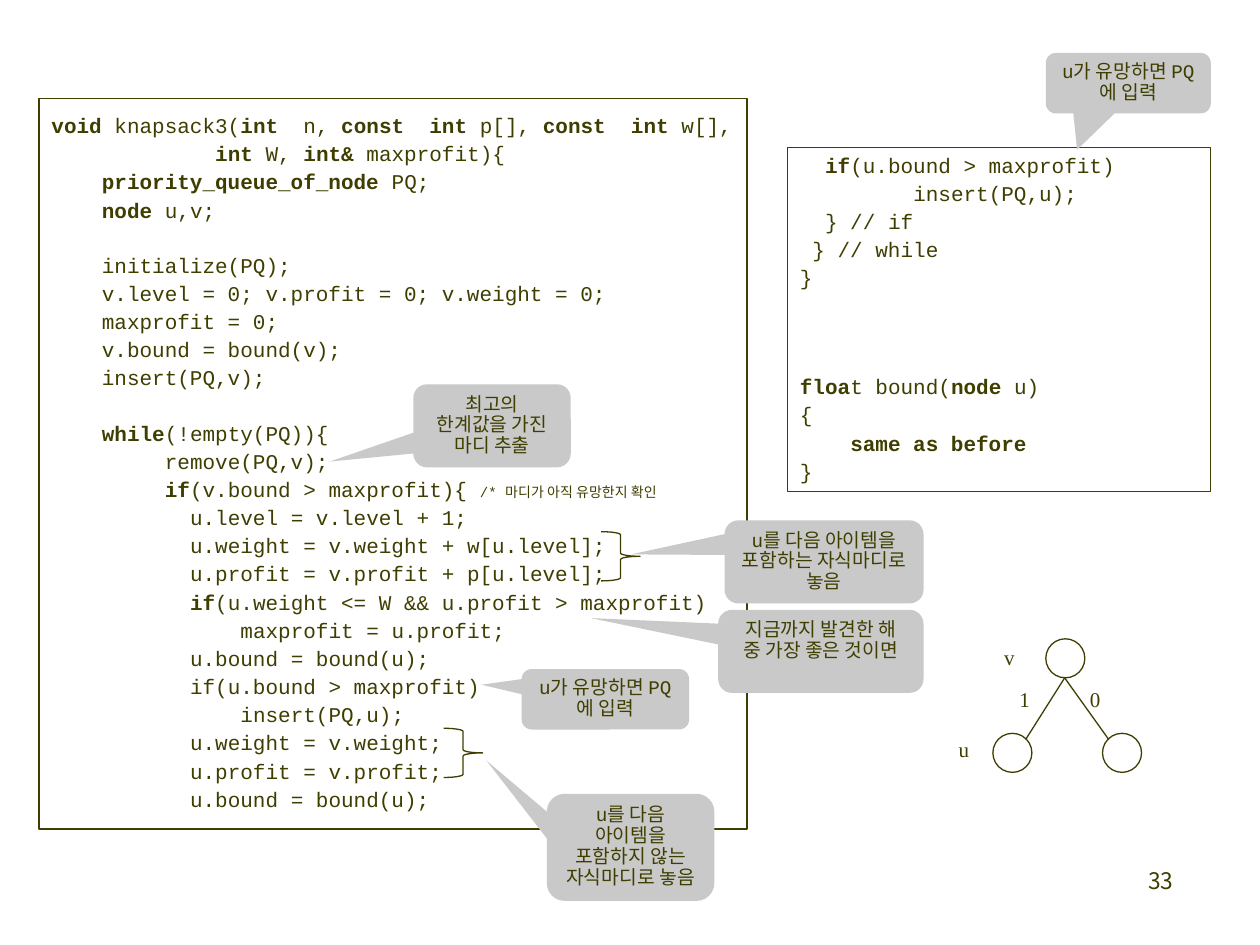
"""Build the knapsack code slide with callouts and a small state tree."""
from lxml.etree import SubElement
from pptx import Presentation
from pptx.dml.color import RGBColor
from pptx.enum.shapes import MSO_CONNECTOR, MSO_SHAPE
from pptx.enum.text import MSO_ANCHOR, PP_ALIGN
from pptx.oxml.ns import qn
from pptx.util import Inches, Pt

COLORS = {"ink": "3F3E00", "callout": "C9C9C9"}
CODE_FONT = "Courier New"
COLUMN = 0.1
LINE_PITCH = 15.4
SPACE_BEFORE = 3.15

MAIN_CODE = [
    (0, 0, "|void| knapsack3(|int|  n, |const  int| p[], |const  int |w[],"),
    (13, 0, "|int| W, |int& |maxprofit){"),
    (4, 0, "|priority_queue_of_node |PQ;"),
    (4, 0, "|node| u,v;"),
    (4, 1, "initialize(PQ);"),
    (4, 0, "v.level = 0; v.profit = 0; v.weight = 0;"),
    (4, 0, "maxprofit = 0;"),
    (4, 0, "v.bound = bound(v);"),
    (4, 0, "insert(PQ,v);"),
    (4, 1, "|while|(!empty(PQ)){"),
    (9, 0, "remove(PQ,v);"),
    (9, 0, "|if|(v.bound > maxprofit){ ~/* 마디가 아직 유망한지 확인"),
    (11, 0, "u.level = v.level + 1;"),
    (11, 0, "u.weight = v.weight + w[u.level];"),
    (11, 0, "u.profit = v.profit + p[u.level];"),
    (11, 0, "|if|(u.weight <= W && u.profit > maxprofit)"),
    (15, 0, "maxprofit = u.profit;"),
    (11, 0, "u.bound = bound(u);"),
    (11, 0, "if(u.bound > maxprofit)"),
    (15, 0, "insert(PQ,u);"),
    (11, 0, "u.weight = v.weight;"),
    (11, 0, "u.profit = v.profit;"),
    (11, 0, "u.bound = bound(u);"),
]
CLOSING_CODE = [
    (2, 0, "|if|(u.bound > maxprofit)"),
    (9, 0, "insert(PQ,u);"),
    (2, 0, "} // if"),
    (1, 0, "} // while"),
    (0, 0, "}"),
    (0, 3, "|floa|t bound(|node| u)"),
    (0, 0, "{"),
    (4, 0, "|same as before|"),
    (0, 0, "}"),
]
PROMISING = "u가 유망하면 PQ에 입력"
CALLOUTS = [
    ((3.28, 3.05, 1.25, 0.66), (-1.03, 0.43), "최고의 한계값을 가진 마디 추출"),
    ((5.75, 4.13, 1.58, 0.66), (-0.97, -0.09), "u를 다음 아이템을 포함하는 자식마디로 놓음"),
    ((5.7, 4.84, 1.63, 0.66), (-1.12, -0.4), "지금까지 발견한 해 중 가장 좋은 것이면"),
    ((4.34, 6.3, 1.33, 0.85), (-0.86, -0.81), "u를 다음 아이템을 포함하지 않는 자식마디로 놓음"),
    ((4.14, 5.31, 1.33, 0.48), (-0.74, -0.24), PROMISING),
    ((8.3, 0.42, 1.31, 0.48), (-0.31, 1.1), PROMISING),
]
BRACES = [(4.77, 4.22), (3.52, 5.78)]
NODES = [(8.3, 5.07), (7.88, 5.82), (8.75, 5.82)]
BRANCH_ENDS = [(8.14, 5.87), (8.8, 5.87)]
LABELS = [
    ("1", (8.09, 5.26, 0.11, 0.44), 0),
    ("0", (8.65, 5.26, 0.11, 0.44), 0),
    ("v", (7.87, 4.93, 0.29, 0.43), 0.1),
    ("u", (7.51, 5.66, 0.29, 0.43), 0.1),
]


def apply_format(target, values):
    for name, value in values.items():
        setattr(target, name, value)


def color(name):
    return RGBColor.from_string(COLORS[name])


def add_run(paragraph, text, size, font=CODE_FONT, bold=False):
    run = paragraph.add_run()
    run.text = text
    apply_format(run.font, {"name": font, "size": Pt(size), "bold": bold})
    run.font.color.rgb = color("ink")


def add_outline(slide, kind, box):
    shape = slide.shapes.add_shape(kind, *map(Inches, box))
    shape.shadow.inherit = False
    shape.fill.background()
    shape.line.color.rgb = color("ink")
    shape.line.width = Pt(0.75)
    return shape


def add_code_box(slide, box, lines):
    shape = add_outline(slide, MSO_SHAPE.RECTANGLE, box)
    frame = shape.text_frame
    apply_format(frame, {"word_wrap": True, "vertical_anchor": MSO_ANCHOR.MIDDLE})
    for index, (columns, gap, code) in enumerate(lines):
        paragraph = frame.add_paragraph() if index else frame.paragraphs[0]
        apply_format(paragraph, {
            "alignment": PP_ALIGN.LEFT,
            "line_spacing": 0.9,
            "space_before": Pt(SPACE_BEFORE + gap * LINE_PITCH),
        })
        properties = paragraph._p.get_or_add_pPr()
        properties.set("marL", str(Inches(columns * COLUMN)))
        code, _, remark = code.partition("~")
        for part, text in enumerate(code.split("|")):
            if text:
                add_run(paragraph, text, 12, bold=part % 2 == 1)
        if remark:
            add_run(paragraph, remark, 8)


def add_callout(slide, box, tip, text):
    shape = add_outline(slide, MSO_SHAPE.ROUNDED_RECTANGULAR_CALLOUT, box)
    shape.fill.solid()
    shape.fill.fore_color.rgb = color("callout")
    shape.line.fill.background()
    shape.adjustments[0], shape.adjustments[1] = tip
    apply_format(shape.text_frame, {"word_wrap": True, "vertical_anchor": MSO_ANCHOR.TOP})
    paragraph = shape.text_frame.paragraphs[0]
    apply_format(paragraph, {
        "alignment": PP_ALIGN.CENTER,
        "line_spacing": 0.9,
        "space_before": Pt(SPACE_BEFORE),
    })
    add_run(paragraph, text, 11)


def add_brace(slide, left, top):
    shape = add_outline(slide, MSO_SHAPE.LEFT_BRACE, (left, top, 0.31, 0.39))
    shape.rotation = 180
    shape.adjustments[0] = 0.08


def add_branch(slide, start, end):
    points = map(Inches, (*start, *end))
    connector = slide.shapes.add_connector(MSO_CONNECTOR.STRAIGHT, *points)
    connector.line.color.rgb = color("ink")
    connector.line.width = Pt(0.75)
    SubElement(connector._element.spPr, qn("a:effectLst"))


def add_text(slide, box, text, size, font, frame_format, paragraph_format):
    shape = slide.shapes.add_textbox(*map(Inches, box))
    apply_format(shape.text_frame, frame_format)
    paragraph = shape.text_frame.paragraphs[0]
    apply_format(paragraph, paragraph_format)
    add_run(paragraph, text, size, font)


def add_label(slide, text, box, inset):
    frame_format = {
        "word_wrap": False,
        "margin_left": Inches(inset),
        "margin_right": Inches(inset),
        "margin_top": 0,
        "margin_bottom": 0,
    }
    paragraph_format = {"line_spacing": Pt(28), "space_before": Pt(SPACE_BEFORE)}
    add_text(slide, box, text, 12, "Times New Roman", frame_format, paragraph_format)


def main():
    presentation = Presentation()
    apply_format(presentation, {"slide_width": Inches(10), "slide_height": Inches(7.5)})
    slide = presentation.slides.add_slide(presentation.slide_layouts[6])
    add_text(slide, (7.33, 6.83, 2.08, 0.5), "33", 13, "Noto Sans CJK KR",
             {"word_wrap": True}, {"alignment": PP_ALIGN.RIGHT})
    add_code_box(slide, (6.25, 1.17, 3.36, 2.73), CLOSING_CODE)
    add_code_box(slide, (0.31, 0.78, 5.62, 5.8), MAIN_CODE)
    for box, tip, text in CALLOUTS:
        add_callout(slide, box, tip, text)
    for left, top in BRACES:
        add_brace(slide, left, top)
    for left, top in NODES:
        add_outline(slide, MSO_SHAPE.OVAL, (left, top, 0.31, 0.31))
    for end in BRANCH_ENDS:
        add_branch(slide, (8.45, 5.38), end)
    for text, box, inset in LABELS:
        add_label(slide, text, box, inset)
    presentation.save("out.pptx")


main()
